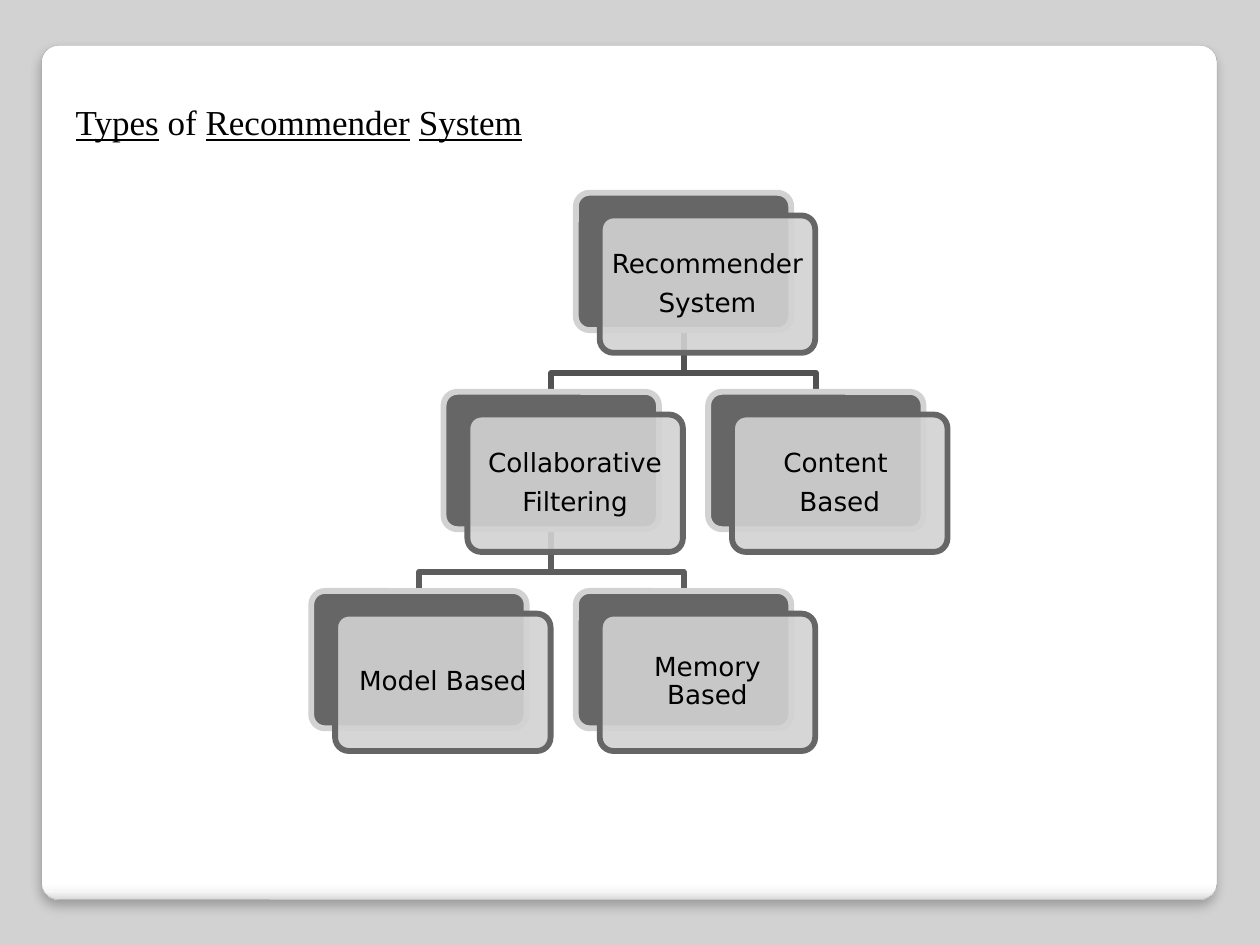
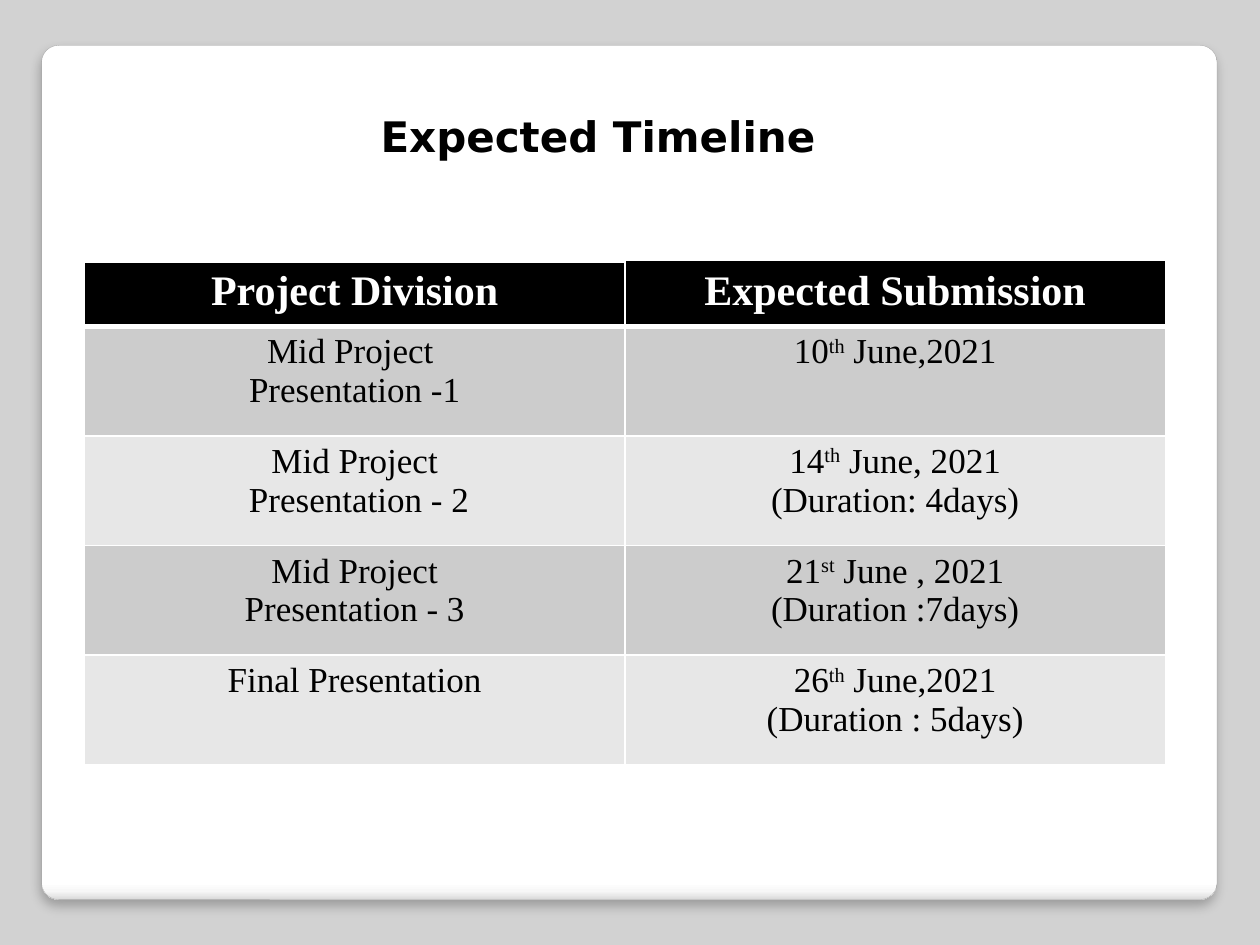
from dataclasses import dataclass

from lxml.etree import SubElement
from pptx import Presentation
from pptx.dml.color import RGBColor
from pptx.enum.shapes import MSO_SHAPE
from pptx.enum.text import MSO_ANCHOR, MSO_AUTO_SIZE, PP_ALIGN
from pptx.oxml import parse_xml
from pptx.oxml.ns import nsdecls, qn
from pptx.util import Inches, Pt


@dataclass(frozen=True)
class Theme:
    sans: str = "DejaVu Sans"
    serif: str = "Times New Roman"
    page: str = "D2D2D2"
    black: str = "000000"
    white: str = "FFFFFF"
    panel_line: str = "A4A4A4"
    panel_stops: tuple = ((0, "FFFFFF"), (98, "FFFFFF"), (99, "F7F7F7"), (100, "DADADA"))
    card_dark: str = "666666"
    card_light: str = "D2D2D2"
    branches: tuple = ("525252", "5D5D5D")  # by level
    bands: tuple = ("CCCCCC", "E7E7E7")
    diagram_line: float = 3.35
    card_size: int = 15
    text_size: int = 20
    heading_size: int = 24


THEME = Theme()

# Tree geometry in inches: one column step is half the distance between siblings
ROOT_LEFT, ROOT_TOP = 4.57, 1.53
COLUMN_STEP, LEVEL_STEP = 1.05, 1.58
CARD_WIDTH, CARD_HEIGHT = 1.71, 1.09
FRONT_SHIFT_X, FRONT_SHIFT_Y = 0.19, 0.18
BRANCH_DROP = 0.34

# Name: (column, level, lines, parent)
TREE = {
    "root": (0, 0, "Recommender \nSystem", None),
    "collaborative": (-1, 1, "Collaborative\nFiltering", "root"),
    "model": (-2, 2, "Model Based", "collaborative"),
    "memory": (0, 2, "Memory Based", "collaborative"),
    "content": (1, 1, "Content \nBased", "root"),
}

# Text between carets is marked: underlined in titles, raised in the table
TIMELINE = [
    ("Project Division", "Expected Submission"),
    ("Mid Project \nPresentation -1", "10^th^ June,2021"),
    ("Mid Project\n Presentation - 2", "14^th^ June, 2021\n(Duration: 4days)"),
    ("Mid Project\nPresentation - 3", "21^st^ June , 2021\n(Duration :7days)"),
    ("Final Presentation", "26^th^ June,2021\n(Duration : 5days)"),
]


def color(value):
    return RGBColor.from_string(value)


def style_font(font, name, size, ink, bold=False):
    font.name, font.size, font.bold = name, Pt(size), bold
    font.color.rgb = color(ink)


def underline(font):
    font.underline = True


def superscript(font):
    font._element.set("baseline", "30000")


def write_marked(para, text, mark, **style):
    """Write text as runs; the pieces between carets get the mark."""
    for index, piece in enumerate(text.split("^")):
        if piece:
            span = para.add_run()
            span.text = piece
            style_font(span.font, **style)
            if index % 2:
                mark(span.font)


def style_shape(shape, fill, line, width):
    shape.shadow.inherit = False
    if fill:
        shape.fill.solid()
        shape.fill.fore_color.rgb = color(fill)
    else:
        shape.fill.background()
    shape.line.color.rgb = color(line)
    shape.line.width = Pt(width)


# Shared backdrop and title

def add_backdrop(layout, page):
    """Give the layout its grey background and white panel."""
    layout.background.fill.solid()
    layout.background.fill.fore_color.rgb = color(THEME.page)
    panel = page.shapes.add_shape(MSO_SHAPE.ROUNDED_RECTANGLE, Inches(0.33), Inches(0.36),
                                  Inches(9.33), Inches(6.78))
    panel.adjustments[0] = 0.02
    style_shape(panel, THEME.white, THEME.panel_line, 0.16)
    properties = panel.element.spPr
    stops = "".join(f'<a:gs pos="{place * 1000}"><a:srgbClr val="{shade}"/></a:gs>'
                    for place, shade in THEME.panel_stops)
    gradient = parse_xml(f'<a:gradFill {nsdecls("a")}><a:gsLst>{stops}</a:gsLst>'
                         '<a:lin ang="5400000" scaled="0"/></a:gradFill>')
    properties.replace(properties.find(qn("a:solidFill")), gradient)
    shadow = SubElement(properties.find(qn("a:effectLst")), qn("a:outerShdw"),
                        blurRad=str(Pt(6)), dist=str(Pt(4)), dir="5400000",
                        algn="t", rotWithShape="0")
    shade = SubElement(shadow, qn("a:srgbClr"), val=THEME.black)
    SubElement(shade, qn("a:alpha"), val="25000")
    layout.shapes.element.insert(2, panel.element)


def set_title(page, text, left, top, width, height, wrap=True, **style):
    title = page.shapes.title
    title.left, title.top = Inches(left), Inches(top)
    title.width, title.height = Inches(width), Inches(height)
    frame = title.text_frame
    frame.word_wrap = wrap
    frame.auto_size = MSO_AUTO_SIZE.SHAPE_TO_FIT_TEXT
    frame.vertical_anchor = MSO_ANCHOR.TOP
    para = frame.paragraphs[0]
    para.alignment = PP_ALIGN.LEFT
    write_marked(para, text, underline, ink=THEME.black, **style)


# Tree diagram

def card_corner(column, level):
    return ROOT_LEFT + column * COLUMN_STEP, ROOT_TOP + level * LEVEL_STEP


def add_branch(shapes, parent, child):
    """Draw the bent line from a parent's bottom to a child's top."""
    parent_left, parent_top = card_corner(*parent[:2])
    child_left, child_top = card_corner(*child[:2])
    start_x, end_x = parent_left + CARD_WIDTH / 2, child_left + CARD_WIDTH / 2
    start_y = parent_top + CARD_HEIGHT
    bend_y = start_y + BRANCH_DROP
    corners = [(start_x, bend_y), (end_x, bend_y), (end_x, child_top)]
    builder = shapes.build_freeform(Inches(start_x), Inches(start_y))
    builder.add_line_segments([(Inches(x), Inches(y)) for x, y in corners], close=False)
    style_shape(builder.convert_to_shape(), None, THEME.branches[parent[1]],
                THEME.diagram_line)


def add_card(shapes, left, top, fill, line):
    card = shapes.add_shape(MSO_SHAPE.ROUNDED_RECTANGLE, Inches(left), Inches(top),
                            Inches(CARD_WIDTH), Inches(CARD_HEIGHT))
    card.adjustments[0] = 0.1
    style_shape(card, fill, line, THEME.diagram_line)
    return card


def add_node(shapes, column, level, text):
    """Draw a dark card with a translucent, labelled card in front."""
    left, top = card_corner(column, level)
    add_card(shapes, left, top, THEME.card_dark, THEME.card_light)
    front = add_card(shapes, left + FRONT_SHIFT_X, top + FRONT_SHIFT_Y,
                     THEME.card_light, THEME.card_dark)
    fill_color = front.element.spPr.find(qn("a:solidFill"))[0]
    SubElement(fill_color, qn("a:alpha"), val="90000")
    frame = front.text_frame
    frame.word_wrap = True
    frame.vertical_anchor = MSO_ANCHOR.MIDDLE
    frame.margin_left = frame.margin_right = Inches(0.06)
    frame.margin_top = frame.margin_bottom = Inches(0.06)
    frame.text = text
    for para in frame.paragraphs:
        para.alignment = PP_ALIGN.CENTER
        para.line_spacing = 0.9
        para.space_after = Pt(6)
        style_font(para.runs[0].font, THEME.sans, THEME.card_size, THEME.black)


def add_tree(page, tree):
    shapes = page.shapes.add_group_shape().shapes
    for node in tree.values():
        if node[3]:
            add_branch(shapes, tree[node[3]], node)
    for column, level, text, _ in tree.values():
        add_node(shapes, column, level, text)


# Timeline table

def set_borders(cell, top=(THEME.white, 1), bottom=(THEME.white, 1)):
    side = (THEME.white, 1)
    edges = {"lnL": side, "lnR": side, "lnT": top, "lnB": bottom}
    properties = cell._tc.get_or_add_tcPr()
    for index, (edge, (ink, width)) in enumerate(edges.items()):
        properties.insert(index, parse_xml(
            f'<a:{edge} {nsdecls("a")} w="{Pt(width)}"><a:solidFill>'
            f'<a:srgbClr val="{ink}"/></a:solidFill></a:{edge}>'))


def fill_cell(cell, text, fill, **style):
    cell.fill.solid()
    cell.fill.fore_color.rgb = color(fill)
    frame = cell.text_frame
    for index, line in enumerate(text.split("\n")):
        para = frame.add_paragraph() if index else frame.paragraphs[0]
        para.alignment = PP_ALIGN.CENTER
        write_marked(para, line, superscript, name=THEME.serif, **style)


def add_timeline(page, rows):
    table = page.shapes.add_table(len(rows), 2, Inches(0.67), Inches(2.08),
                                  Inches(8.58), Inches(3.99)).table
    thick = (THEME.white, 3)
    for row, texts in enumerate(rows):
        table.rows[row].height = Inches(0.87 if row else 0.51)
        for column, text in enumerate(texts):
            cell = table.cell(row, column)
            if row:
                fill_cell(cell, text, THEME.bands[(row - 1) % 2],
                          size=THEME.text_size, ink=THEME.black)
                set_borders(cell, top=thick if row == 1 else (THEME.white, 1))
            else:
                fill_cell(cell, text, THEME.black, size=THEME.heading_size,
                          ink=THEME.white, bold=True)
                set_borders(cell, top=((THEME.white, THEME.black)[column], 1), bottom=thick)


def main():
    deck = Presentation()
    deck.slide_width, deck.slide_height = Inches(10), Inches(7.5)
    layout = deck.slide_layouts.get_by_name("Title Only")

    # Types of system
    page = deck.slides.add_slide(layout)
    add_backdrop(layout, page)
    add_tree(page, TREE)
    set_title(page, "^Types^ of ^Recommender^ ^System^", 0.5, 0.75, 4.78, 0.44,
              name=THEME.serif, size=THEME.text_size)

    # Timeline
    page = deck.slides.add_slide(layout)
    set_title(page, "Expected Timeline", 2.92, 0.83, 3.66, 0.5, wrap=False,
              name=THEME.sans, size=THEME.heading_size, bold=True)
    add_timeline(page, TIMELINE)

    deck.save("out.pptx")


if __name__ == "__main__":
    main()
